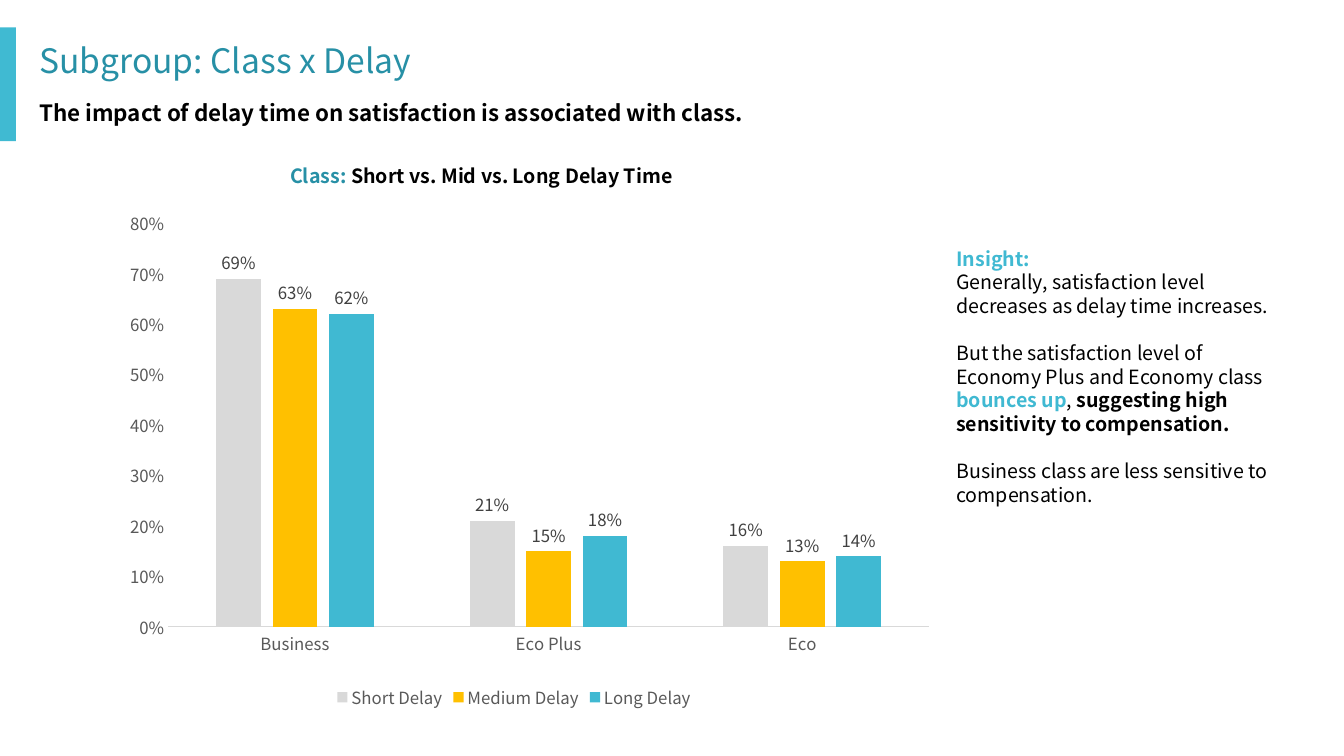
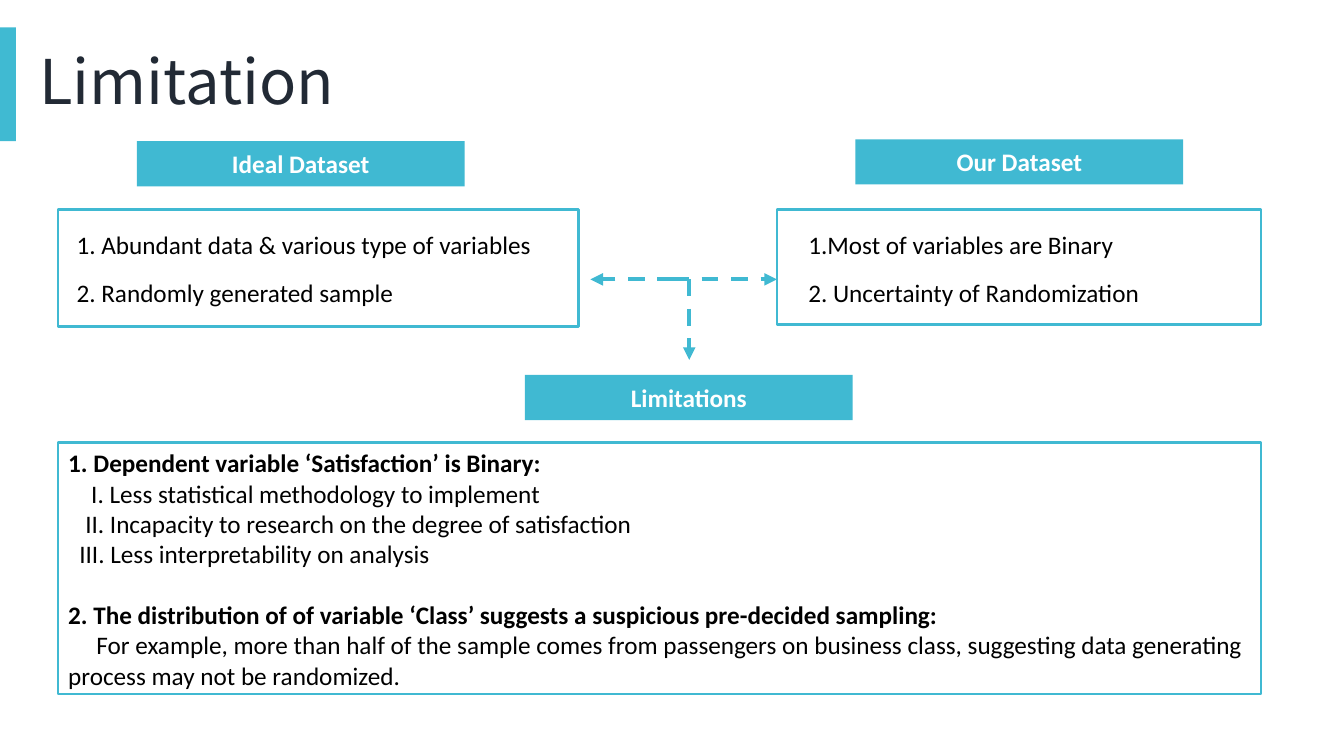
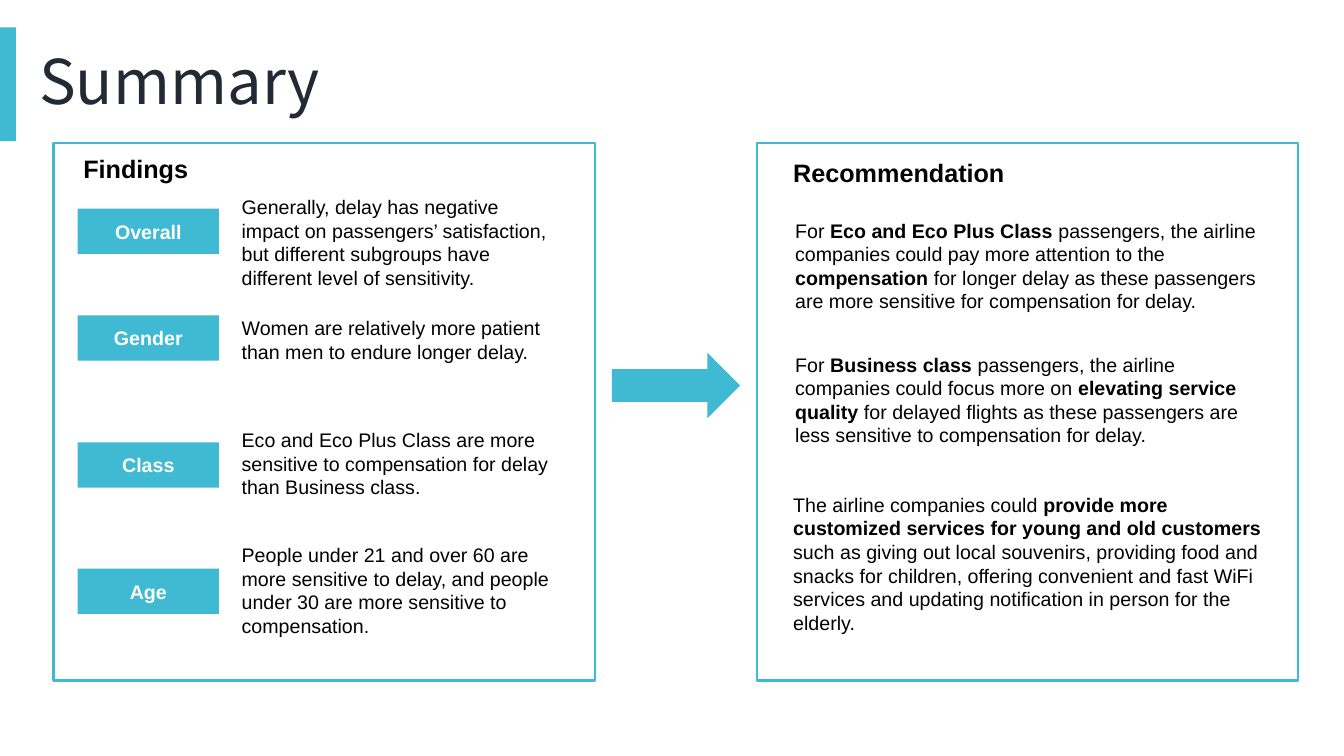
from dataclasses import dataclass
from typing import Any, NamedTuple

import lxml.etree
import pptx
import pptx.chart.data
import pptx.dml.color
import pptx.enum.chart
import pptx.enum.dml
import pptx.enum.shapes
import pptx.enum.text
import pptx.oxml
import pptx.oxml.ns
import pptx.util

Cm = pptx.util.Cm
Pt = pptx.util.Pt
qn = pptx.oxml.ns.qn
Kind = pptx.enum.shapes.MSO_SHAPE
Align = pptx.enum.text.PP_ALIGN
Anchor = pptx.enum.text.MSO_ANCHOR


@dataclass(frozen=True)
class Theme:
    side: str = "40BAD2"
    teal: str = "40B9D2"
    deep: str = "2790A6"
    navy: str = "222A35"
    gold: str = "FFC000"
    pale: str = "D9D9D9"
    axis: str = "595959"
    label: str = "404040"
    black: str = "000000"
    white: str = "FFFFFF"
    sans: str = "Noto Sans CJK SC"
    body: str = "Calibri"
    plain: str = "Arial"
    huge: int = 44
    head: int = 24
    large: int = 18
    sub: int = 16
    text: int = 14
    small: int = 12


T = Theme()


class Box(NamedTuple):
    x: float
    y: float
    w: float
    h: float


class Run(NamedTuple):
    text: str
    bold: bool = False
    color: str = T.black


@dataclass(frozen=True)
class Para:
    runs: tuple[Run, ...]
    before: float = 0
    indent: float = 0


@dataclass(frozen=True)
class Note:
    box: Box
    paras: tuple[Para, ...]


@dataclass(frozen=True)
class Finding:
    name: str
    top: float
    text: str
    start: float
    high: float


class Arrow(NamedTuple):
    x1: float
    y1: float
    x2: float
    y2: float


class Series(NamedTuple):
    name: str
    values: tuple[float, ...]
    color: str


def rgb(code: str) -> pptx.dml.color.RGBColor:
    return pptx.dml.color.RGBColor.from_string(code)


def span(box: Box) -> list[int]:
    return [Cm(side) for side in box]


def style(font: Any, size: float, color: str, face: str, bold: bool = False) -> None:
    font.size, font.name, font.bold = Pt(size), face, bold
    font.color.rgb = rgb(color)


def line(*parts: Run | str, before: float = 0, indent: float = 0) -> Para:
    runs = tuple(Run(part) if isinstance(part, str) else part for part in parts)
    return Para(runs, before, indent)


def bold(text: str, color: str = T.black) -> Run:
    return Run(text, True, color)


def write(shape: Any, *paras: Para, size: float = T.text, face: str = T.plain,
          align: Any = Align.LEFT, anchor: Any = Anchor.TOP,
          pad: float = 0.13, lead: float | None = None) -> None:
    frame = shape.text_frame
    frame.word_wrap = True
    frame.vertical_anchor = anchor
    frame.margin_left = frame.margin_right = Cm(0.25)
    frame.margin_top = frame.margin_bottom = Cm(pad)
    for place, para in enumerate(paras):
        item = frame.add_paragraph() if place else frame.paragraphs[0]
        item.alignment = align
        if lead:
            item.line_spacing = lead
        if para.before:
            item.space_before = Pt(para.before)
        if para.indent:
            item._p.get_or_add_pPr().set("indent", str(Cm(para.indent)))
        for part in para.runs:
            run = item.add_run()
            run.text = part.text
            style(run.font, size, part.color, face, part.bold)


def text(slide: Any, box: Box, *paras: Para, **form: Any) -> None:
    write(slide.shapes.add_textbox(*span(box)), *paras, **form)


def block(slide: Any, box: Box, fill: str, kind: Any = Kind.RECTANGLE) -> Any:
    shape = slide.shapes.add_shape(kind, *span(box))
    shape.shadow.inherit = False
    shape.fill.solid()
    shape.fill.fore_color.rgb = rgb(fill)
    shape.line.fill.background()
    return shape


def frame(slide: Any, box: Box) -> Any:
    shape = slide.shapes.add_shape(Kind.RECTANGLE, *span(box))
    shape.shadow.inherit = False
    shape.fill.background()
    shape.line.color.rgb = rgb(T.teal)
    shape.line.width = Pt(1.5)
    return shape


def tag(slide: Any, box: Box, name: str, size: float, face: str) -> None:
    write(block(slide, box, T.teal), line(bold(name, T.white)), size=size,
          face=face, align=Align.CENTER, anchor=Anchor.MIDDLE)


def arrow(slide: Any, ends: Arrow) -> None:
    link = slide.shapes.add_connector(
        pptx.enum.shapes.MSO_CONNECTOR.STRAIGHT, *[Cm(end) for end in ends])
    link.line.color.rgb = rgb(T.teal)
    link.line.width = Pt(3)
    link.line.dash_style = pptx.enum.dml.MSO_LINE.DASH
    props = link._element.spPr
    lxml.etree.SubElement(props.find(qn("a:ln")), qn("a:tailEnd"), type="triangle")
    lxml.etree.SubElement(props, qn("a:effectLst"))


def start(deck: Any, title: str, box: Box = Box(0.74, 0.76, 16.2, 2.74),
          size: float = T.huge, color: str = T.navy) -> Any:
    slide = deck.slides.add_slide(deck.slide_layouts[6])
    block(slide, Box(-0.41, 0.69, 0.81, 2.87), T.side)
    text(slide, box, line(Run(title, color=color)), size=size, face=T.sans,
         anchor=Anchor.MIDDLE, lead=0.9)
    return slide


def place(chart: Any, box: Box) -> None:
    area = chart._chartSpace.chart.plotArea
    for old in area.findall(qn("c:layout")):
        area.remove(old)
    layout = lxml.etree.Element(qn("c:layout"))
    manual = lxml.etree.SubElement(layout, qn("c:manualLayout"))
    marks = {"layoutTarget": "inner", "xMode": "edge", "yMode": "edge"}
    for name, value in {**marks, **box._asdict()}.items():
        lxml.etree.SubElement(manual, qn(f"c:{name}"), val=str(value))
    area.insert(0, layout)


def columns(slide: Any, box: Box, cats: tuple[str, ...], rows: tuple[Series, ...]) -> None:
    enum = pptx.enum.chart
    data = pptx.chart.data.CategoryChartData(number_format="0%")
    data.categories = cats
    for row in rows:
        data.add_series(row.name, row.values)
    chart = slide.shapes.add_chart(enum.XL_CHART_TYPE.COLUMN_CLUSTERED, *span(box), data).chart
    style(chart.font, T.small, T.black, T.sans)
    chart.has_title = False
    chart.has_legend = True
    chart.legend.position = enum.XL_LEGEND_POSITION.BOTTOM
    chart.legend.include_in_layout = False
    for axis in (chart.category_axis, chart.value_axis):
        axis.major_tick_mark = axis.minor_tick_mark = enum.XL_TICK_MARK.NONE
        axis.has_major_gridlines = False
        style(axis.tick_labels.font, T.small, T.axis, T.sans)
    style(chart.legend.font, T.small, T.axis, T.sans)
    base = chart.category_axis.format.line
    base.color.rgb = rgb(T.pale)
    base.width = Pt(0.75)
    scale = chart.value_axis
    scale.minimum_scale, scale.maximum_scale, scale.major_unit = 0, 0.8, 0.1
    scale.format.line.fill.background()
    scale.tick_labels.number_format = "0%"
    scale.tick_labels.number_format_is_linked = False
    plot = chart.plots[0]
    plot.gap_width, plot.overlap = 214, -26
    plot.vary_by_categories = False
    for series, row in zip(plot.series, rows):
        series.format.fill.solid()
        series.format.fill.fore_color.rgb = rgb(row.color)
        labels = series.data_labels
        labels.show_value = True
        labels.position = enum.XL_LABEL_POSITION.OUTSIDE_END
        labels.number_format = "0%"
        labels.number_format_is_linked = False
        style(labels.font, T.small, T.label, T.sans)
    place(chart, Box(0.1, 0.04, 0.88, 0.79))


def delay(deck: Any) -> None:
    slide = start(deck, "Subgroup: Class x Delay", Box(0.74, 0.89, 23.11, 1.37),
                  T.head, T.deep)
    columns(slide, Box(2.06, 5.11, 21.79, 12.88), ("Business", "Eco Plus", "Eco"), (
        Series("Short Delay", (0.69, 0.21, 0.16), T.pale),
        Series("Medium Delay", (0.63, 0.15, 0.13), T.gold),
        Series("Long Delay", (0.62, 0.18, 0.14), T.teal),
    ))
    text(slide, Box(6.32, 3.99, 11.63, 0.86),
         line(bold("Class: ", T.deep), bold("Short vs. Mid vs. Long Delay Time")),
         face=T.sans, align=Align.CENTER)
    text(slide, Box(0.74, 2.36, 31.9, 0.94),
         line(bold("The impact of delay time on satisfaction is associated with class.")),
         size=T.sub, face=T.sans)
    text(slide, Box(23.85, 5.97, 8.66, 7.09),
         line(bold("Insight:", T.teal)),
         line("Generally, satisfaction level decreases as delay time increases."),
         line("But the satisfaction level of Economy Plus and Economy class ",
              bold("bounces up", T.teal), ", ",
              bold("suggesting high sensitivity to compensation."), before=17),
         line("Business class are less sensitive to compensation.", before=17),
         face=T.sans, pad=0.25)


def limits(deck: Any) -> None:
    slide = start(deck, "Limitation")
    for x, y, name in ((3.45, 3.56, "Ideal Dataset"), (21.56, 3.51, "Our Dataset"),
                       (13.23, 9.45, "Limitations")):
        tag(slide, Box(x, y, 8.26, 1.14), name, T.large, T.body)
    for box in (Box(1.47, 5.28, 13.11, 2.95), Box(19.58, 5.28, 12.19, 2.9)):
        frame(slide, box)
    traits = (
        (1.68, 14.71, ("1. Abundant data & various type of variables",
                       "2. Randomly generated sample")),
        (20.12, 10.19, ("1.Most of variables are Binary",
                        "2. Uncertainty of Randomization")),
    )
    for x, wide, items in traits:
        for row, item in enumerate(items):
            text(slide, Box(x, 5.64 + 1.22 * row, wide, 1.02), line(item),
                 size=T.large, face=T.body)
    for ends in (Arrow(17.37, 7.04, 17.37, 9.07), Arrow(16.99, 7.04, 14.88, 7.04),
                 Arrow(16.94, 7.04, 19.58, 7.04)):
        arrow(slide, ends)
    write(frame(slide, Box(1.47, 11.15, 30.3, 6.35)),
          line(bold("1. Dependent variable ‘Satisfaction’ is Binary:")),
          line("I. Less statistical methodology to implement", indent=0.58),
          line("II. Incapacity to research on the degree of satisfaction", indent=0.43),
          line("III. Less interpretability on analysis", indent=0.28),
          line(bold("2. The distribution of of variable ‘Class’ suggests a suspicious "
                    "pre-decided sampling:"), before=22),
          line("For example, more than half of the sample comes from passengers on "
               "business class, suggesting data generating process may not be randomized.",
               indent=0.71),
          size=T.large, face=T.body)


def recap(deck: Any) -> None:
    slide = start(deck, "Summary")
    for x in (1.35, 19.08):
        frame(slide, Box(x, 3.61, 13.64, 13.54))
    for box, name in ((Box(1.85, 3.61, 4.98, 1.27), "Findings"),
                      (Box(19.74, 3.71, 5.97, 1.27), "Recommendation")):
        text(slide, box, line(bold(name)), size=T.large, pad=0.25)
    finds = (
        Finding("Overall", 5.26, "Generally, delay has negative impact on passengers’ "
                "satisfaction, but different subgroups have different level of "
                "sensitivity.", 4.67, 2.9),
        Finding("Gender", 7.95, "Women are relatively more patient than men to endure "
                "longer delay.", 7.72, 1.7),
        Finding("Class", 11.15, "Eco and Eco Plus Class are more sensitive to "
                "compensation for delay than Business class.", 10.54, 2.31),
        Finding("Age", 14.33, "People under 21 and over 60 are more sensitive to delay, "
                "and people under 30 are more sensitive to compensation.", 13.44, 2.9),
    )
    for find in finds:
        tag(slide, Box(1.96, find.top, 3.56, 1.14), find.name, T.text, T.plain)
        text(slide, Box(5.84, find.start, 8.46, find.high), line(find.text), pad=0.25)
    block(slide, Box(15.42, 8.89, 3.23, 1.65), T.teal, Kind.RIGHT_ARROW)
    notes = (
        Note(Box(19.79, 5.26, 12.27, 2.9), (line(
            "For ", bold("Eco and Eco Plus Class"),
            " passengers, the airline companies could pay more attention to the ",
            bold("compensation"),
            " for longer delay as these passengers are more sensitive for "
            "compensation for delay."),)),
        Note(Box(19.79, 8.64, 11.73, 2.9), (line(
            "For ", bold("Business class"),
            " passengers, the airline companies could focus more on ",
            bold("elevating service quality"),
            " for delayed flights as these passengers are less sensitive to "
            "compensation for delay."),)),
        Note(Box(19.74, 12.17, 12.62, 4.11), (line(
            "The airline companies could ",
            bold("provide more customized services for young and old customers "),
            "such as giving out local souvenirs, providing food and snacks for "
            "children, offering convenient and fast WiFi services and updating "
            "notification in person for the elderly."),)),
    )
    for note in notes:
        text(slide, note.box, *note.paras, pad=0.25)


def main() -> None:
    deck = pptx.Presentation()
    deck.slide_width, deck.slide_height = Cm(33.87), Cm(19.05)
    for build in (delay, limits, recap):
        build(deck)
    deck.save("out.pptx")


main()
